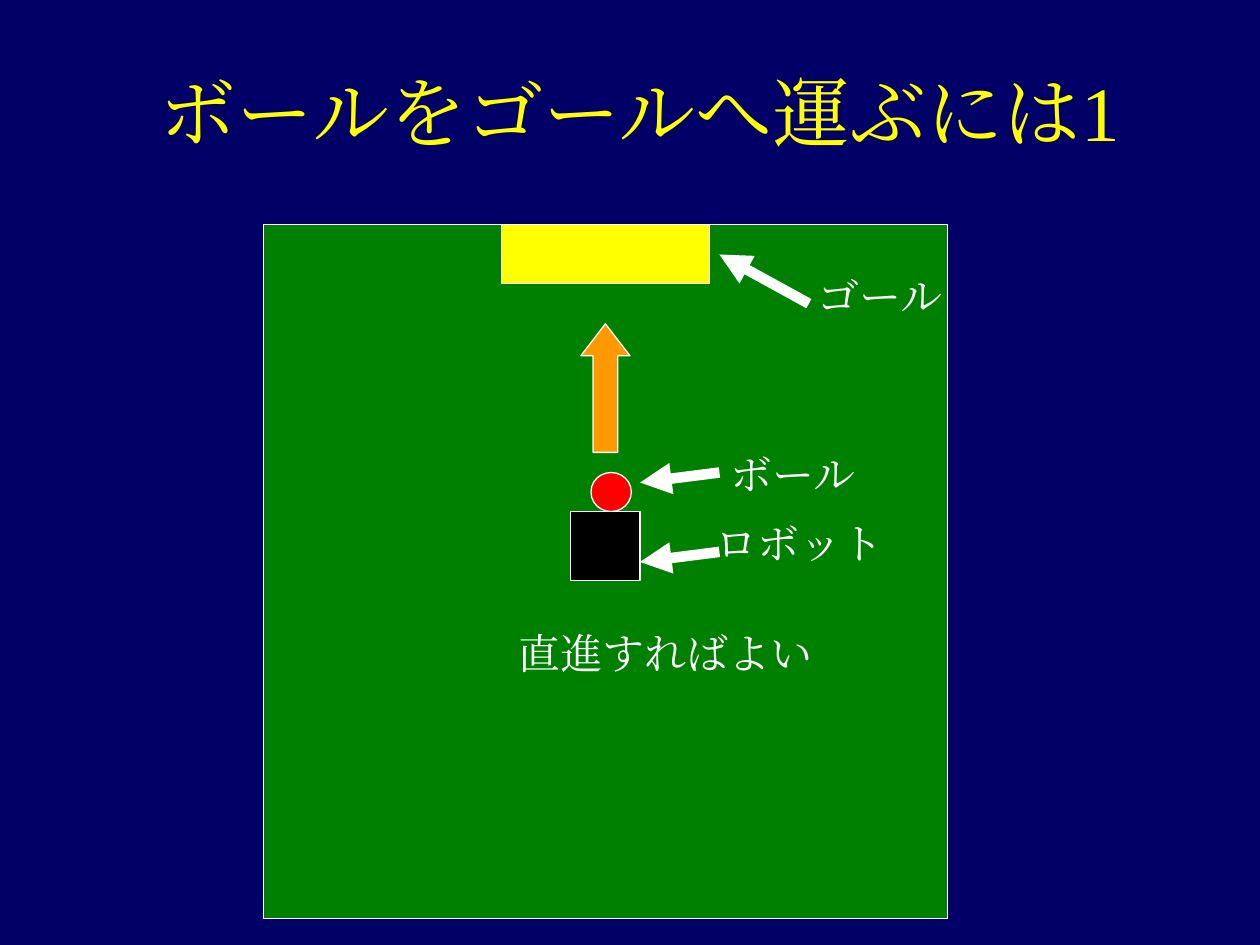
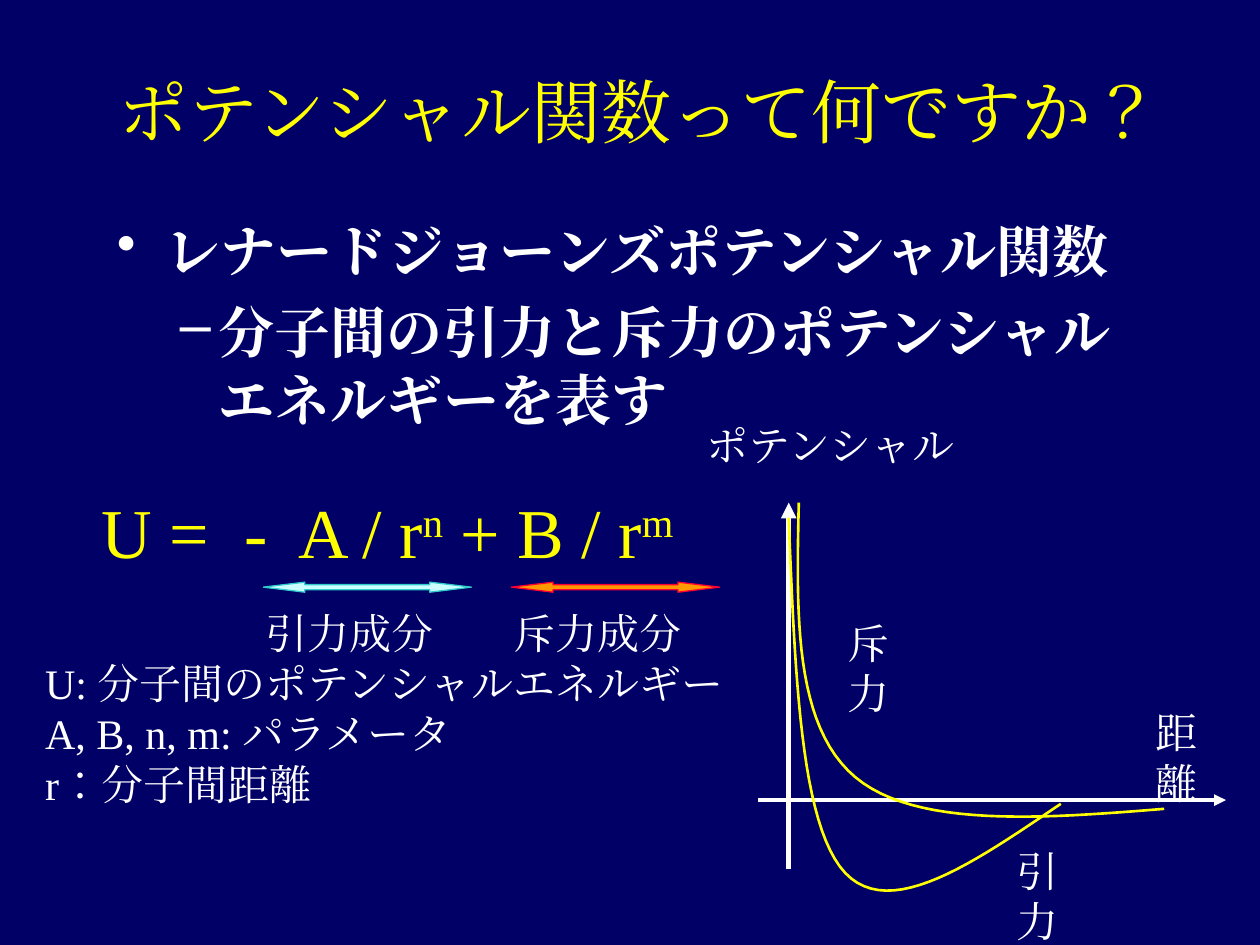
from lxml import etree
from pptx import Presentation
from pptx import util as u
from pptx.dml.color import RGBColor
from pptx.enum import lang, shapes, text
from pptx.oxml import ns

COLORS = {
    "background": "000066", "white": "FFFFFF", "yellow": "FFFF00",
    "field": "008000", "ball": "FF0000", "robot": "000000",
    "orange": "FF9900", "pale": "CCFFFF", "teal": "33CCCC", "crimson": "FF0033",
}
FONT = "Times New Roman"
SHAPE = shapes.MSO_SHAPE
LABEL_HEIGHT = 0.5
CURVE_STEPS = 24


def rgb(name):
    return RGBColor.from_string(COLORS[name])


def add_element(parent, tag, **attributes):
    return etree.SubElement(parent, ns.qn(tag), **attributes)


def set_values(target, values):
    for name, value in values.items():
        setattr(target, name, value)


def add_run(paragraph, content, size, color="white", bold=False, raised=False):
    run = paragraph.add_run()
    run.text = content
    set_values(run.font, {"name": FONT, "size": u.Pt(size), "bold": bold,
                          "language_id": lang.MSO_LANGUAGE_ID.JAPANESE})
    run.font.color.rgb = rgb(color)
    properties = run.font._element
    add_element(properties, "a:ea", typeface=FONT)
    if raised:
        properties.set("baseline", "30000")


def add_frame(slide, box, wrap=False, anchor=text.MSO_ANCHOR.TOP):
    frame = slide.shapes.add_textbox(*map(u.Inches, box)).text_frame
    resize = text.MSO_AUTO_SIZE.NONE if wrap else text.MSO_AUTO_SIZE.SHAPE_TO_FIT_TEXT
    set_values(frame, {"word_wrap": wrap, "auto_size": resize, "vertical_anchor": anchor})
    return frame


def add_title(slide, content, size):
    frame = add_frame(slide, (0.83, 0.25, 8.5, 1.25), True, text.MSO_ANCHOR.MIDDLE)
    paragraph = frame.paragraphs[0]
    paragraph.alignment = text.PP_ALIGN.CENTER
    paragraph._p.get_or_add_pPr().set("hangingPunct", "1")
    add_run(paragraph, content, size, "yellow")


def add_lines(slide, box, lines):
    frame = add_frame(slide, box)
    for index, line in enumerate(lines):
        paragraph = frame.add_paragraph() if index else frame.paragraphs[0]
        add_run(paragraph, line, 24)


def add_label(slide, content, left, top, width):
    add_lines(slide, (left, top, width, LABEL_HEIGHT), [content])


def add_bullets(slide, box, items):
    """Each item holds its text, level, bullet, left margin and hanging indent."""
    frame = add_frame(slide, box, wrap=True)
    for index, (content, level, bullet, margin, hanging) in enumerate(items):
        paragraph = frame.add_paragraph() if index else frame.paragraphs[0]
        properties = paragraph._p.get_or_add_pPr()
        properties.set("marL", str(u.Inches(margin)))
        properties.set("indent", str(-u.Inches(hanging)))
        color = add_element(properties, "a:buClr")
        add_element(color, "a:srgbClr", val=COLORS["white"])
        add_element(properties, "a:buChar", char=bullet)
        set_values(paragraph, {"level": level, "space_before": u.Pt(8 if index else 0)})
        add_run(paragraph, content, 32, bold=True)


def add_shape(slide, kind, box, fill, line="white", adjustments=()):
    shape = slide.shapes.add_shape(kind, *map(u.Inches, box))
    shape.shadow.inherit = False
    shape.fill.solid()
    shape.fill.fore_color.rgb = rgb(fill)
    shape.line.color.rgb = rgb(line)
    shape.line.width = u.Pt(0.75)
    for index, value in enumerate(adjustments):
        shape.adjustments[index] = value


def add_arrow(slide, start, end, width):
    arrow = slide.shapes.add_connector(
        shapes.MSO_CONNECTOR.STRAIGHT, *map(u.Inches, start + end))
    arrow.line.color.rgb = rgb("white")
    arrow.line.width = u.Pt(width)
    add_element(arrow.line._get_or_add_ln(), "a:tailEnd", type="triangle")
    add_element(arrow._element.spPr, "a:effectLst")


def bezier_points(start, control_1, control_2, end):
    for step in range(1, CURVE_STEPS + 1):
        t = step / CURVE_STEPS
        weights = ((1 - t) ** 3, 3 * t * (1 - t) ** 2, 3 * t ** 2 * (1 - t), t ** 3)
        corners = (start, control_1, control_2, end)
        yield tuple(u.Inches(sum(w * corner[axis] for w, corner in zip(weights, corners)))
                    for axis in (0, 1))


def add_curve(slide, points):
    """Draw cubic segments through a start followed by groups of three points."""
    builder = slide.shapes.build_freeform(*map(u.Inches, points[0]))
    for first in range(0, len(points) - 1, 3):
        builder.add_line_segments(bezier_points(*points[first:first + 4]), close=False)
    curve = builder.convert_to_shape()
    curve.shadow.inherit = False
    curve.fill.background()
    curve.line.color.rgb = rgb("yellow")
    curve.line.width = u.Pt(1.5)


def add_slide(presentation, title, title_size):
    slide = presentation.slides.add_slide(presentation.slide_layouts[6])
    slide.background.fill.solid()
    slide.background.fill.fore_color.rgb = rgb("background")
    add_title(slide, title, title_size)
    return slide


def build_field_slide(presentation):
    slide = add_slide(presentation, "ボールをゴールへ運ぶには1", 44)
    # Field, goal, ball, robot and its direction
    add_shape(slide, SHAPE.RECTANGLE, (2.09, 1.78, 5.43, 5.51), "field")
    add_shape(slide, SHAPE.RECTANGLE, (3.98, 1.78, 1.65, 0.47), "yellow")
    add_shape(slide, SHAPE.OVAL, (4.69, 3.75, 0.32, 0.31), "ball")
    add_shape(slide, SHAPE.RECTANGLE, (4.53, 4.06, 0.55, 0.55), "robot")
    add_shape(slide, SHAPE.UP_ARROW, (4.61, 2.57, 0.39, 1.02), "orange",
              adjustments=(0.5, 0.65))
    # Labels and pointers
    add_label(slide, "直進すればよい", 4.02, 4.93, 2.53)
    for name, left, top, width, start, end in (
        ("ボール", 5.7, 3.51, 1.2, (5.71, 3.75), (5.08, 3.83)),
        ("ゴール", 6.39, 2.1, 1.2, (6.42, 2.41), (5.71, 2.02)),
        ("ロボット", 5.58, 4.06, 1.53, (5.71, 4.38), (5.08, 4.46)),
    ):
        add_label(slide, name, left, top, width)
        add_arrow(slide, start, end, 6)


def build_potential_slide(presentation):
    slide = add_slide(presentation, "ポテンシャル関数って何ですか？", 40)
    add_bullets(slide, (0.83, 1.67, 8.5, 5.17), (
        ("レナードジョーンズポテンシャル関数", 0, "•", 0.38, 0.38),
        ("分子間の引力と斥力のポテンシャルエネルギーを表す", 1, "–", 0.81, 0.31),
    ))
    # Formula with raised exponents
    formula = add_frame(slide, (0.71, 3.83, 4.8, 0.77)).paragraphs[0]
    for content, raised in (("U =  -  A / r", False), ("n", True),
                            (" + B / r", False), ("m", True)):
        add_run(formula, content, 40, "yellow", raised=raised)
    add_lines(slide, (0.26, 5.17, 5.69, 1.3), (
        "U: 分子間のポテンシャルエネルギー", "A, B, n, m: パラメータ", "r：分子間距離"))
    # Terms of the formula
    for name, left, fill, line in (("引力成分", 2.09, "pale", "teal"),
                                   ("斥力成分", 4.06, "orange", "crimson")):
        add_shape(slide, SHAPE.LEFT_RIGHT_ARROW, (left, 4.62, 1.65, 0.08), fill, line,
                  (0.5, 4.12))
        add_label(slide, name, left - 0.08, 4.77, 1.53)
    # Axes and curves of the sketch
    add_arrow(slide, (6.02, 6.35), (9.73, 6.35), 2.25)
    add_arrow(slide, (6.26, 6.9), (6.26, 3.99), 3)
    add_curve(slide, ((6.34, 3.99), (6.32, 4.87), (6.3, 5.76), (6.79, 6.17),
                      (7.27, 6.57), (8.26, 6.5), (9.24, 6.42)))
    add_curve(slide, ((6.26, 4.11), (6.31, 5.33), (6.35, 6.55), (6.71, 6.93),
                      (7.07, 7.31), (7.74, 6.84), (8.42, 6.38)))
    for name, left, top, width in (
        ("ポテンシャル", 5.51, 3.28, 2.2), ("引力", 7.97, 6.66, 0.86),
        ("斥力", 6.63, 4.85, 0.86), ("距離", 9.07, 5.56, 0.86),
    ):
        add_label(slide, name, left, top, width)


def main():
    presentation = Presentation()
    set_values(presentation, {"slide_width": u.Inches(10), "slide_height": u.Inches(7.5)})
    build_field_slide(presentation)
    build_potential_slide(presentation)
    presentation.save("out.pptx")


if __name__ == "__main__":
    main()
